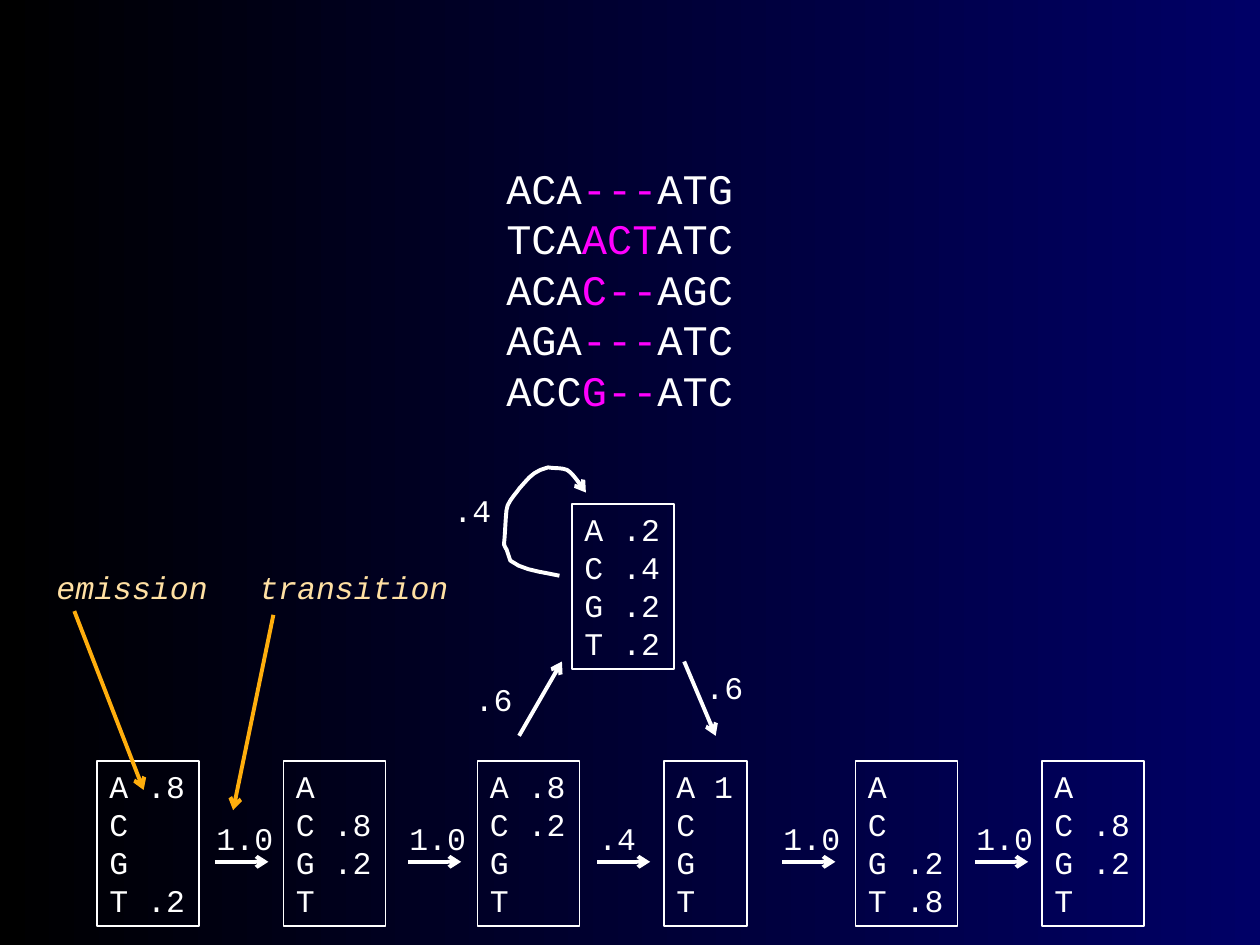
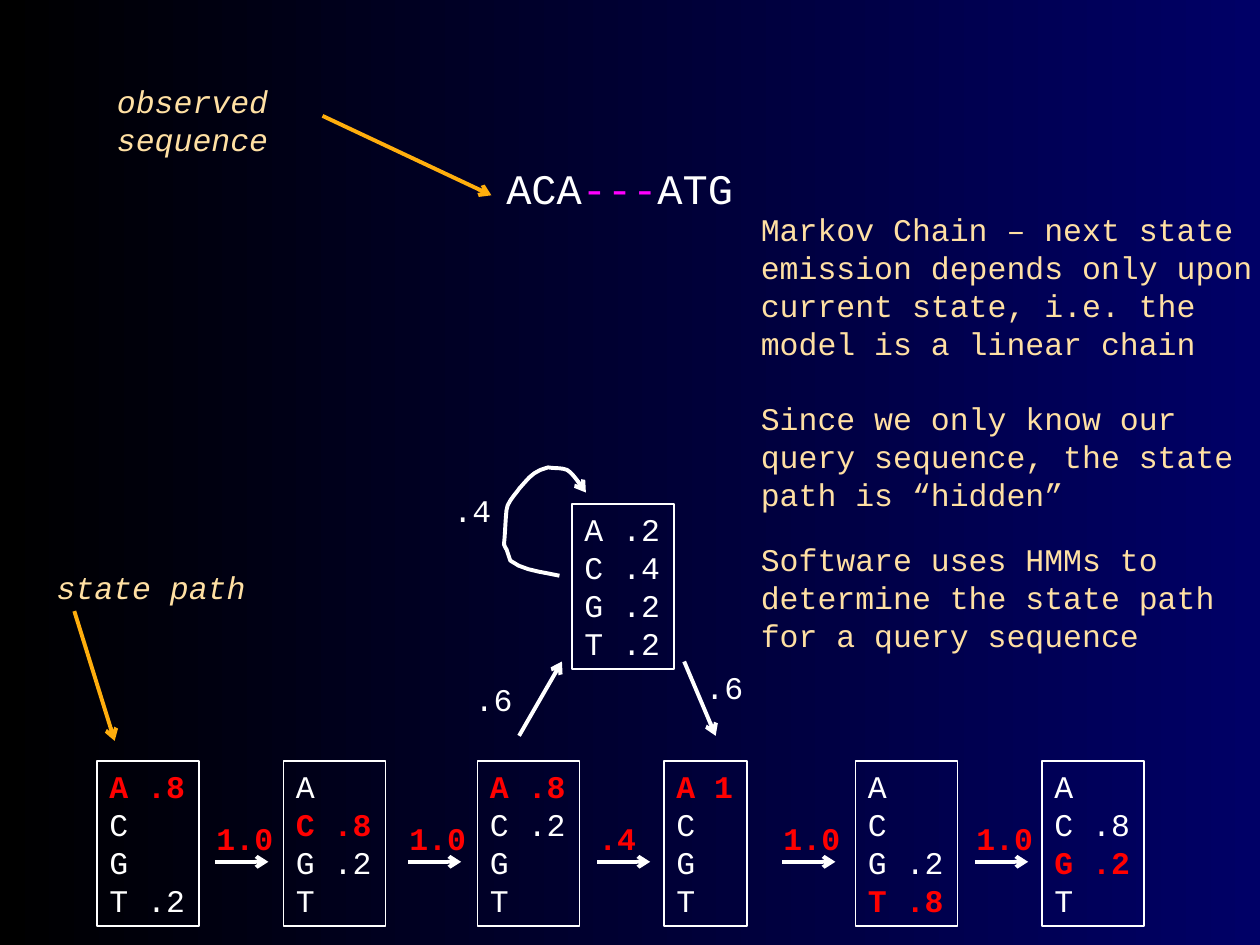
"""Builds two slides that explain a hidden Markov model of a short DNA alignment."""
from pptx import Presentation
from pptx.dml.color import RGBColor
from pptx.enum.shapes import MSO_CONNECTOR as CONN, MSO_SHAPE as SHAPE
from pptx.enum.text import MSO_ANCHOR as ANCHOR, MSO_AUTO_SIZE as FIT, PP_ALIGN as ALIGN
from pptx.oxml.ns import qn
from pptx.util import Inches, Pt
from lxml.etree import SubElement

BLACK = RGBColor(0x00, 0x00, 0x00)
NAVY = RGBColor(0x00, 0x00, 0x66)
WHITE = RGBColor(0xFF, 0xFF, 0xFF)
MAGENTA = RGBColor(0xFF, 0x00, 0xFF)
RED = RGBColor(0xFF, 0x00, 0x00)
CREAM = RGBColor(0xFF, 0xE0, 0xA3)
ORANGE = RGBColor(0xFF, 0xAE, 0x0D)
FONT = "Courier New"

ALIGNMENT = [
    ("ACA", "---", "ATG"),
    ("TCA", "ACT", "ATC"),
    ("ACA", "C--", "AGC"),
    ("AGA", "---", "ATC"),
    ("ACC", "G--", "ATC"),
]
STATES = [
    (0.77, {"A": ".8", "T": ".2"}),
    (2.25, {"C": ".8", "G": ".2"}),
    (3.79, {"A": ".8", "C": ".2"}),
    (5.27, {"A": "1"}),
    (6.79, {"G": ".2", "T": ".8"}),
    (8.27, {"C": ".8", "G": ".2"}),
]
INSERT_STATE = {"A": ".2", "C": ".4", "G": ".2", "T": ".2"}
STATE_PATH = "ACAATG"
STEPS = [(1.71, "1.0"), (3.24, "1.0"), (4.74, ".4"), (6.21, "1.0"), (7.74, "1.0")]
INSERT_ARROWS = [((4.12, 5.84), (4.46, 5.25)), ((5.43, 5.25), (5.68, 5.84))]
INSERT_LABELS = [(3.67, 5.35, ".6"), (5.5, 5.25, ".6"), (3.5, 3.85, ".4")]
LOOP_START = (4.44, 4.57)
LOOP_CURVES = [
    ((4.31, 4.54), (4.15, 4.53), (4.05, 4.45)),
    ((4.04, 4.42), (4.03, 4.39), (4.02, 4.36)),
    ((4.01, 4.35), (4, 4.32), (4, 4.32)),
    ((4.01, 4.23), (4.01, 4.14), (4.02, 4.05)),
    ((4.02, 3.99), (4.11, 3.9), (4.12, 3.88)),
    ((4.2, 3.79), (4.23, 3.74), (4.35, 3.71)),
    ((4.4, 3.72), (4.45, 3.71), (4.5, 3.73)),
    ((4.54, 3.75), (4.6, 3.84), (4.6, 3.84)),
    ((4.62, 3.89), (4.61, 3.87), (4.65, 3.91)),
]
MODEL_SLIDE = {
    "rows": ALIGNMENT,
    "path": "",
    "captions": [(0.35, 4.46, 1.47, ["emission"]), (1.96, 4.46, 1.78, ["transition"])],
    "pointers": [((0.59, 4.85), (1.14, 6.27)), ((2.17, 4.88), (1.85, 6.43))],
    "remarks": [],
}
PATH_SLIDE = {
    "rows": ALIGNMENT[:1],
    "path": STATE_PATH,
    "captions": [(0.35, 4.46, 1.78, ["state path"]),
                 (0.83, 0.6, 1.47, ["observed", "sequence"])],
    "pointers": [((0.59, 4.85), (0.91, 5.88)), ((2.56, 0.92), (3.9, 1.55))],
    "remarks": [
        (1.62, 1.31, "Markov Chain – next state emission depends only upon current state, "
                     "i.e. the model is a linear chain"),
        (3.12, 1.01, "Since we only know our query sequence, the state path is “hidden”"),
        (4.24, 1.01, "Software uses HMMs to determine the state path for a query sequence"),
    ],
}


def text_width(chars):
    return 0.21 + 0.15 * chars


def add_text(s, lines, x, y, w, h, size=18, italic=False, wrap=False, framed=False):
    """Each line is a list of (text, colour, bold) runs."""
    box = tuple(map(Inches, (x, y, w, h)))
    if framed:
        sp = s.shapes.add_shape(SHAPE.RECTANGLE, *box)
        sp.shadow.inherit = False
        sp.fill.background()
        sp.line.color.rgb = WHITE
        sp.line.width = Pt(0.75)
    else:
        sp = s.shapes.add_textbox(*box)
    tf = sp.text_frame
    tf.word_wrap = wrap
    tf.auto_size = FIT.SHAPE_TO_FIT_TEXT
    tf.vertical_anchor = ANCHOR.TOP
    for i, line in enumerate(lines):
        p = tf.paragraphs[0] if i == 0 else tf.add_paragraph()
        p.alignment = ALIGN.LEFT
        for text, color, bold in line:
            r = p.add_run()
            r.text = text
            r.font.name, r.font.size = FONT, Pt(size)
            r.font.bold, r.font.italic = bold, italic
            r.font.color.rgb = color


def style_arrow(sp, color):
    sp.line.color.rgb = color
    sp.line.width = Pt(2.25)
    SubElement(sp.line._get_or_add_ln(), qn("a:tailEnd"), type="arrow")


def add_arrow(s, start, end, color=WHITE):
    cn = s.shapes.add_connector(CONN.STRAIGHT, *map(Inches, start + end))
    style_arrow(cn, color)
    SubElement(cn._element.spPr, qn("a:effectLst"))


def add_loop(s, samples=5):
    points, p0 = [], LOOP_START
    for p1, p2, p3 in LOOP_CURVES:
        for step in range(1, samples + 1):
            t = step / samples
            u = 1 - t
            points.append(tuple(
                Inches(u**3 * a + 3 * u * u * t * b + 3 * u * t * t * c + t**3 * d)
                for a, b, c, d in zip(p0, p1, p2, p3)))
        p0 = p3
    builder = s.shapes.build_freeform(*map(Inches, LOOP_START))
    builder.add_line_segments(points, close=False)
    sp = builder.convert_to_shape()
    sp.shadow.inherit = False
    sp.fill.background()
    style_arrow(sp, WHITE)


def add_state(s, x, y, emissions, visited=""):
    rows = [f"{base} {emissions[base]}" if base in emissions else base for base in "ACGT"]
    lines = [[(row, RED, True) if row[0] == visited else (row, WHITE, False)] for row in rows]
    add_text(s, lines, x, y, text_width(max(map(len, rows))), 1.31, framed=True)


def add_model(s, path):
    for i, (x, emissions) in enumerate(STATES):
        add_state(s, x, 6.04, emissions, path[i:i + 1])
    add_state(s, 4.54, 4, INSERT_STATE)
    for x, chance in STEPS:
        add_arrow(s, (x, 6.84), (x + 0.42, 6.84))
        run = (chance, RED if path else WHITE, bool(path))
        add_text(s, [[run]], x - 0.09, 6.45, text_width(len(chance)), 0.4)
    for start, end in INSERT_ARROWS:
        add_arrow(s, start, end)
    for x, y, chance in INSERT_LABELS:
        add_text(s, [[(chance, WHITE, False)]], x, y, 0.5, 0.4)
    add_loop(s)


def build_slide(prs, rows, path, captions, pointers, remarks):
    s = prs.slides.add_slide(prs.slide_layouts[6])
    fill = s.background.fill
    fill.gradient()
    fill.gradient_angle = 0
    for stop, color in zip(fill.gradient_stops, (BLACK, NAVY)):
        stop.color.rgb = color
    lines = [[(part, color, False) for part, color in zip(row, (WHITE, MAGENTA, WHITE))]
             for row in rows]
    add_text(s, lines, 3.92, 1.24, 2, 0.1 + 0.4 * len(rows), size=24)
    add_model(s, path)
    for start, end in pointers:
        add_arrow(s, start, end, ORANGE)
    for x, y, w, words in captions:
        add_text(s, [[(word, CREAM, False)] for word in words], x, y, w,
                 0.1 + 0.3 * len(words), italic=True)
    for y, h, remark in remarks:
        add_text(s, [[(remark, CREAM, False)]], 5.94, y, 4.33, h, wrap=True)


def main():
    prs = Presentation()
    prs.slide_width, prs.slide_height = Inches(10), Inches(7.5)
    for content in (MODEL_SLIDE, PATH_SLIDE):
        build_slide(prs, **content)
    prs.save("out.pptx")


if __name__ == "__main__":
    main()
